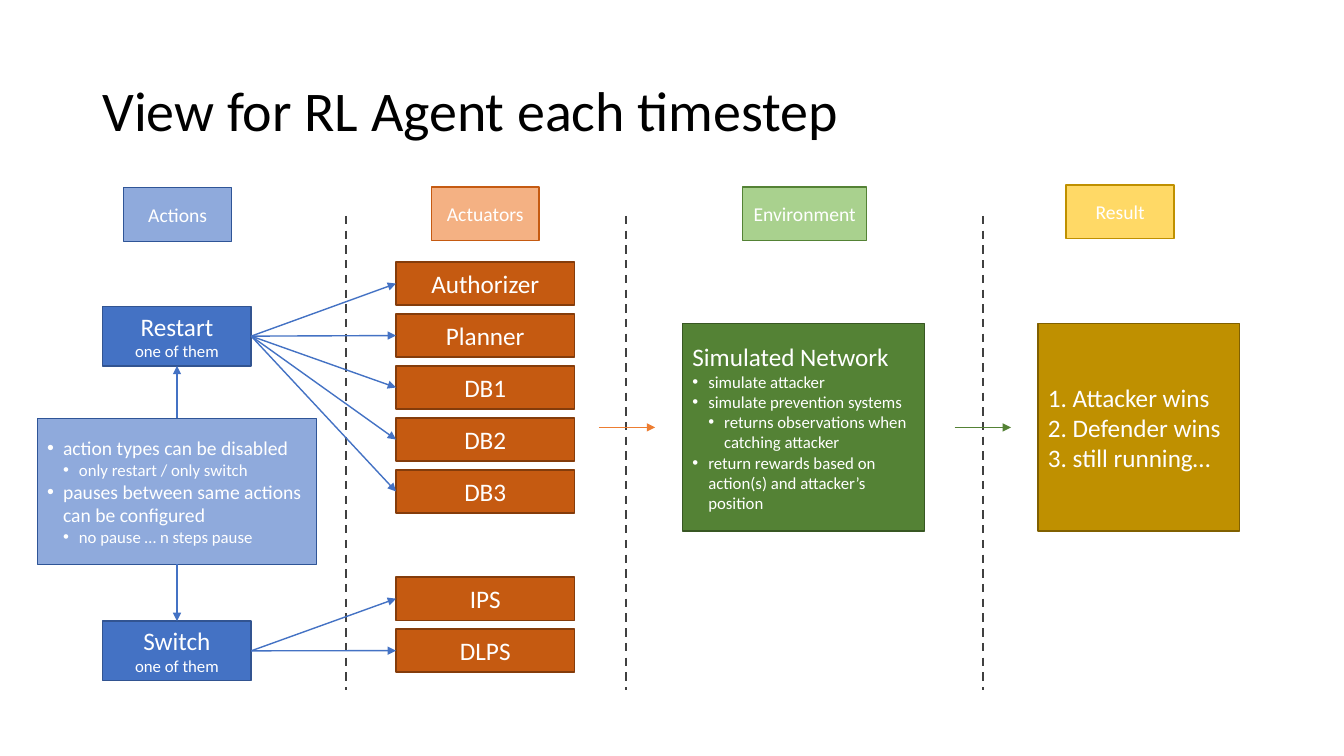
from dataclasses import dataclass
from typing import Any, Optional

import pptx
import pptx.dml.color
import pptx.enum.dml
import pptx.enum.shapes
import pptx.enum.text
import pptx.oxml
import pptx.oxml.ns
import pptx.util
from pptx.util import Cm

ALIGN = pptx.enum.text.PP_ALIGN
TOP, LEFT, BOTTOM, RIGHT = range(4)  # connection sites of a rectangle


@dataclass(frozen=True)
class Style:
    """Fill and outline colours of a box."""
    fill: str
    line: str


@dataclass(frozen=True)
class Theme:
    """Colours, font and type sizes of the slide."""
    font: str = "Calibri"
    title_size: int = 40
    large: int = 18
    medium: int = 14
    small: int = 12
    black: str = "000000"
    white: str = "FFFFFF"
    divider: str = "404040"
    action_arrow: str = "4472C4"
    actuator_arrow: str = "ED7D31"
    environment_arrow: str = "548235"
    action: Style = Style("4472C4", "325491")
    action_light: Style = Style("8FAADC", "2F5597")
    actuator: Style = Style("C55A11", "843C0B")
    actuator_light: Style = Style("F4B183", "C55A11")
    environment: Style = Style("548235", "385723")
    environment_light: Style = Style("A9D18E", "548235")
    result: Style = Style("BF9000", "806000")
    result_light: Style = Style("FFD966", "BF9000")


THEME = Theme()


@dataclass(frozen=True)
class Line:
    """A paragraph; bullet is its list depth, None for plain text."""
    text: str
    size: int = THEME.large
    bullet: Optional[int] = None


@dataclass(frozen=True)
class Box:
    """A filled rectangle with text, placed in centimetres."""
    left: float
    top: float
    width: float
    height: float
    style: Style
    lines: tuple[Line, ...]
    align: Any = ALIGN.CENTER


def rgb(value: str) -> pptx.dml.color.RGBColor:
    """Turn a hex string into a colour."""
    return pptx.dml.color.RGBColor.from_string(value)


def add_bullet(paragraph: Any, depth: int) -> None:
    """Give a paragraph a hanging round bullet."""
    paragraph.level = depth
    properties = paragraph._p.get_or_add_pPr()
    properties.set("marL", str(Cm(0.4 * (depth + 1))))
    properties.set("indent", str(Cm(-0.4)))
    for tag, name, value in (("buFont", "typeface", "Arial"), ("buChar", "char", "•")):
        bullet = pptx.oxml.parse_xml(f"<a:{tag} {pptx.oxml.ns.nsdecls('a')}/>")
        bullet.set(name, value)
        properties.append(bullet)


def write(shape: Any, lines: tuple[Line, ...], *, color: str = THEME.white,
          align: Any = ALIGN.LEFT, spacing: float = 1.0) -> None:
    """Write formatted paragraphs into a shape, centred vertically."""
    frame = shape.text_frame
    frame.word_wrap = True
    frame.vertical_anchor = pptx.enum.text.MSO_ANCHOR.MIDDLE
    for index, line in enumerate(lines):
        paragraph = frame.add_paragraph() if index else frame.paragraphs[0]
        paragraph.alignment = align
        paragraph.line_spacing = spacing
        if line.bullet is not None:
            add_bullet(paragraph, line.bullet)
        run = paragraph.add_run()
        run.text = line.text
        run.font.name = THEME.font
        run.font.size = pptx.util.Pt(line.size)
        run.font.color.rgb = rgb(color)


def draw_box(slide: Any, box: Box) -> Any:
    """Draw a box and return its shape."""
    shape = slide.shapes.add_shape(
        pptx.enum.shapes.MSO_SHAPE.RECTANGLE,
        Cm(box.left), Cm(box.top), Cm(box.width), Cm(box.height))
    shape.shadow.inherit = False
    shape.fill.solid()
    shape.fill.fore_color.rgb = rgb(box.style.fill)
    shape.line.color.rgb = rgb(box.style.line)
    shape.line.width = pptx.util.Pt(1)
    write(shape, box.lines, align=box.align)
    return shape


def draw_line(slide: Any, start: tuple[float, float], end: tuple[float, float],
              color: str, width: float = 1) -> Any:
    """Draw a straight connector without shadow."""
    line = slide.shapes.add_connector(
        pptx.enum.shapes.MSO_CONNECTOR.STRAIGHT, *map(Cm, start + end))
    line.line.color.rgb = rgb(color)
    line.line.width = pptx.util.Pt(width)
    line._element.spPr.append(
        pptx.oxml.parse_xml(f"<a:effectLst {pptx.oxml.ns.nsdecls('a')}/>"))
    return line


def draw_arrow(slide: Any, start: tuple[float, float], end: tuple[float, float],
               color: str) -> Any:
    """Draw a connector with a triangular head at its end."""
    arrow = draw_line(slide, start, end, color)
    arrow.line._get_or_add_ln().append(
        pptx.oxml.parse_xml(f'<a:tailEnd {pptx.oxml.ns.nsdecls("a")} type="triangle"/>'))
    return arrow


def link(slide: Any, source: Any, source_site: int, target: Any, target_site: int) -> None:
    """Join two boxes with an attached arrow."""
    arrow = draw_arrow(slide, (0, 0), (0, 0), THEME.action_arrow)
    arrow.begin_connect(source, source_site)
    arrow.end_connect(target, target_site)


def build() -> None:
    """Build the slide and save it."""
    deck = pptx.Presentation()
    deck.slide_width, deck.slide_height = Cm(33.87), Cm(19.05)
    slide = deck.slides.add_slide(deck.slide_layouts[6])

    title = slide.shapes.add_textbox(Cm(2.33), Cm(1.01), Cm(29.21), Cm(3.68))
    write(title, (Line("View for RL Agent each timestep", THEME.title_size),),
          color=THEME.black, spacing=0.9)

    for x in (8.71, 15.77, 24.77):
        divider = draw_line(slide, (x, 5.44), (x, 17.4), THEME.divider, 1.5)
        divider.line.dash_style = pptx.enum.dml.MSO_LINE.DASH

    for name, left, top, width, style in (
            ("Actions", 3.12, 4.73, 2.72, THEME.action_light),
            ("Actuators", 10.87, 4.71, 2.72, THEME.actuator_light),
            ("Environment", 18.72, 4.71, 3.12, THEME.environment_light),
            ("Result", 26.87, 4.66, 2.72, THEME.result_light)):
        draw_box(slide, Box(left, top, width, 1.35, style, (Line(name, THEME.medium),)))

    rules = draw_box(slide, Box(0.94, 10.54, 7.04, 3.68, THEME.action_light, (
        Line("action types can be disabled", THEME.medium, 0),
        Line("only restart / only switch", THEME.small, 1),
        Line("pauses between same actions can be configured", THEME.medium, 0),
        Line("no pause … n steps pause", THEME.small, 1)), ALIGN.LEFT))

    for action_name, action_top, rules_site, action_site, first_top, actuators in (
            ("Restart", 7.72, TOP, BOTTOM, 6.6,
             ("Authorizer", "Planner", "DB1", "DB2", "DB3")),
            ("Switch", 15.65, BOTTOM, TOP, 14.54, ("IPS", "DLPS"))):
        action = draw_box(slide, Box(2.59, action_top, 3.74, 1.5, THEME.action, (
            Line(action_name), Line("one of them", THEME.small))))
        link(slide, rules, rules_site, action, action_site)
        for row, name in enumerate(actuators):
            actuator = draw_box(slide, Box(
                9.98, first_top + 1.31 * row, 4.5, 1.09, THEME.actuator, (Line(name),)))
            link(slide, action, RIGHT, actuator, LEFT)

    draw_box(slide, Box(17.2, 8.15, 6.1, 5.23, THEME.environment, (
        Line("Simulated Network"),
        Line("simulate attacker", THEME.small, 0),
        Line("simulate prevention systems", THEME.small, 0),
        Line("returns observations when catching attacker", THEME.small, 1),
        Line("return rewards based on action(s) and attacker’s position", THEME.small, 0),
    ), ALIGN.LEFT))
    draw_box(slide, Box(26.16, 8.15, 5.08, 5.23, THEME.result, (
        Line("1. Attacker wins"), Line("2. Defender wins"),
        Line("3. still running…")), ALIGN.LEFT))

    for x, color in ((15.09, THEME.actuator_arrow), (24.06, THEME.environment_arrow)):
        draw_arrow(slide, (x, 10.77), (x + 1.42, 10.77), color)

    deck.save("out.pptx")


build()
